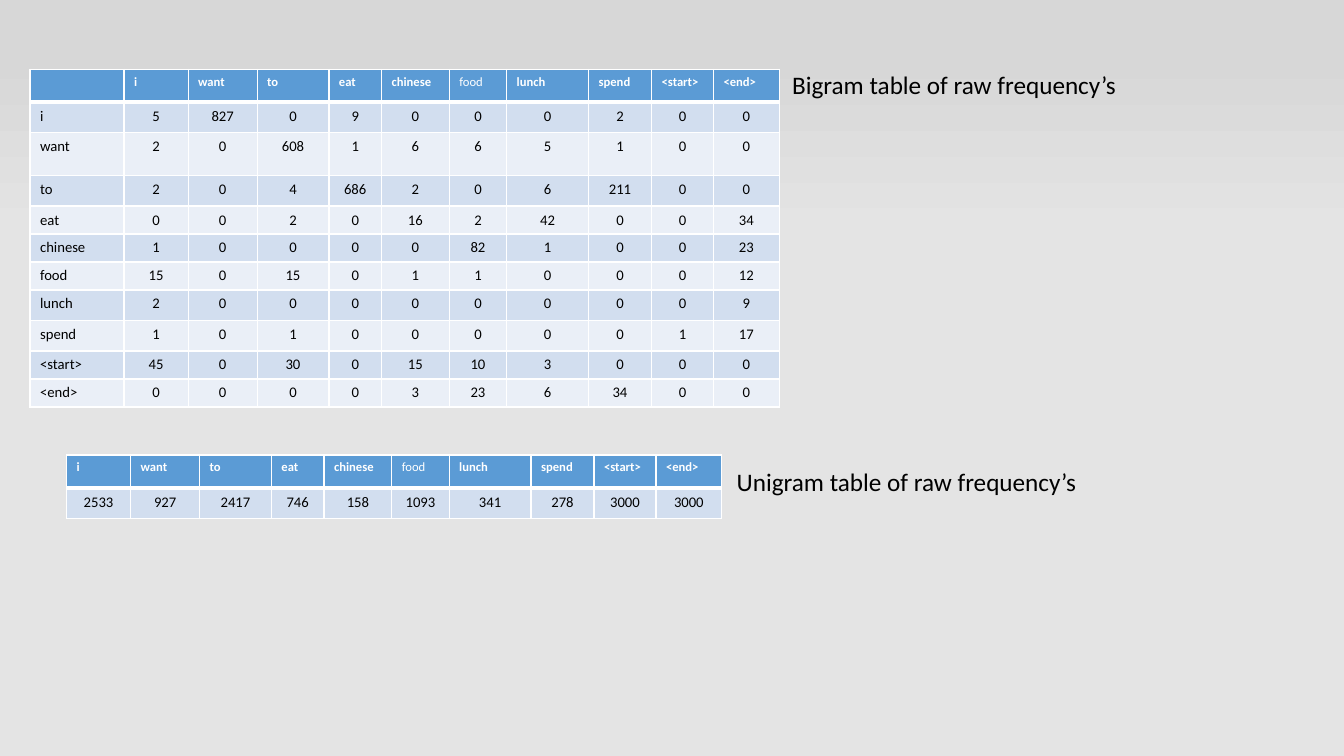
"""Build a slide with bigram and unigram frequency tables."""
from lxml.etree import SubElement
from pptx import Presentation
from pptx.dml.color import RGBColor
from pptx.enum.text import MSO_AUTO_SIZE, PP_ALIGN
from pptx.oxml.ns import qn
from pptx.util import Pt

WORDS = ["i", "want", "to", "eat", "chinese", "food", "lunch", "spend", "<start>", "<end>"]
BIGRAMS = [
    [5, 827, 0, 9, 0, 0, 0, 2, 0, 0],
    [2, 0, 608, 1, 6, 6, 5, 1, 0, 0],
    [2, 0, 4, 686, 2, 0, 6, 211, 0, 0],
    [0, 0, 2, 0, 16, 2, 42, 0, 0, 34],
    [1, 0, 0, 0, 0, 82, 1, 0, 0, 23],
    [15, 0, 15, 0, 1, 1, 0, 0, 0, 12],
    [2, 0, 0, 0, 0, 0, 0, 0, 0, 9],
    [1, 0, 1, 0, 0, 0, 0, 0, 1, 17],
    [45, 0, 30, 0, 15, 10, 3, 0, 0, 0],
    [0, 0, 0, 0, 3, 23, 6, 34, 0, 0],
]
UNIGRAMS = [2533, 927, 2417, 746, 158, 1093, 341, 278, 3000, 3000]
LABEL_W = 67.1
WORD_W = [45.8, 49.3, 51.3, 37.6, 48.4, 41, 58.5, 45, 44.3, 46.9]
BIGRAM_H = [23.7, 21.8, 30.5, 21.8, 20, 20, 20, 21.8, 21.8, 20, 20]
UNIGRAM_H = [23.7, 21.8]
CAPTIONS = [
    ("Bigram table of raw frequency’s", 558.7, 46.1, 310.3, True),
    ("Unigram table of raw frequency’s", 519.1, 329.8, 259.9, False),
]
COLORS = {"header": "5B9BD5", "odd": "D2DEEF", "even": "EAEFF7", "line": "FFFFFF",
          "light": "FFFFFF", "dark": "000000", "bg_top": "D7D7D7", "bg_bottom": "E4E4E4"}


def rgb(name):
    return RGBColor.from_string(COLORS[name])


def set_font(p, size, color, bold=False):
    p.font.name = "Calibri"
    p.font.size = Pt(size)
    p.font.bold = bold
    p.font.color.rgb = rgb(color)


def set_borders(cell, row):
    tc_pr = cell._tc.get_or_add_tcPr()
    widths = {"L": 1, "R": 1, "T": 3 if row == 1 else 1, "B": 3 if row == 0 else 1}
    for side, width in widths.items():
        ln = SubElement(tc_pr, qn(f"a:ln{side}"), w=str(Pt(width)))
        fill = SubElement(ln, qn("a:solidFill"))
        SubElement(fill, qn("a:srgbClr"), val=COLORS["line"])


def add_grid(slide, rows, left, top, widths, heights):
    table = slide.shapes.add_table(len(rows), len(widths), Pt(left), Pt(top),
                                   Pt(sum(widths)), Pt(sum(heights))).table
    table.horz_banding = False
    for col, width in zip(table.columns, widths):
        col.width = Pt(width)
    for r, (values, height) in enumerate(zip(rows, heights)):
        table.rows[r].height = Pt(height)
        band = "header" if r == 0 else "odd" if r % 2 else "even"
        for c, value in enumerate(values):
            cell = table.cell(r, c)
            set_borders(cell, r)
            cell.fill.solid()
            cell.fill.fore_color.rgb = rgb(band)
            p = cell.text_frame.paragraphs[0]
            if value == "":
                SubElement(p._p, qn("a:endParaRPr"), sz="900")
                continue
            p.text = str(value)
            p.alignment = PP_ALIGN.CENTER if isinstance(value, int) else PP_ALIGN.LEFT
            if r == 0:
                set_font(p, 9, "light", value != "food")
            else:
                set_font(p, 10.5, "dark")


prs = Presentation()
prs.slide_width, prs.slide_height = Pt(960), Pt(540)
slide = prs.slides.add_slide(prs.slide_layouts[6])

bg = slide.background.fill
bg.gradient()
bg.gradient_angle = 270
for stop, color, position in zip(bg.gradient_stops, ("bg_top", "bg_bottom"), (0.07, 0.31)):
    stop.color.rgb = rgb(color)
    stop.position = position

bigram_rows = [["", *WORDS]] + [[word, *counts] for word, counts in zip(WORDS, BIGRAMS)]
add_grid(slide, bigram_rows, 21.5, 49.4, [LABEL_W, *WORD_W], BIGRAM_H)
add_grid(slide, [WORDS, UNIGRAMS], 47.5, 325, WORD_W, UNIGRAM_H)

for text, left, top, width, wrap in CAPTIONS:
    tf = slide.shapes.add_textbox(Pt(left), Pt(top), Pt(width), Pt(29.1)).text_frame
    tf.word_wrap = wrap
    tf.auto_size = MSO_AUTO_SIZE.SHAPE_TO_FIT_TEXT
    p = tf.paragraphs[0]
    p.text = text
    set_font(p, 18, "dark")

prs.save("out.pptx")
